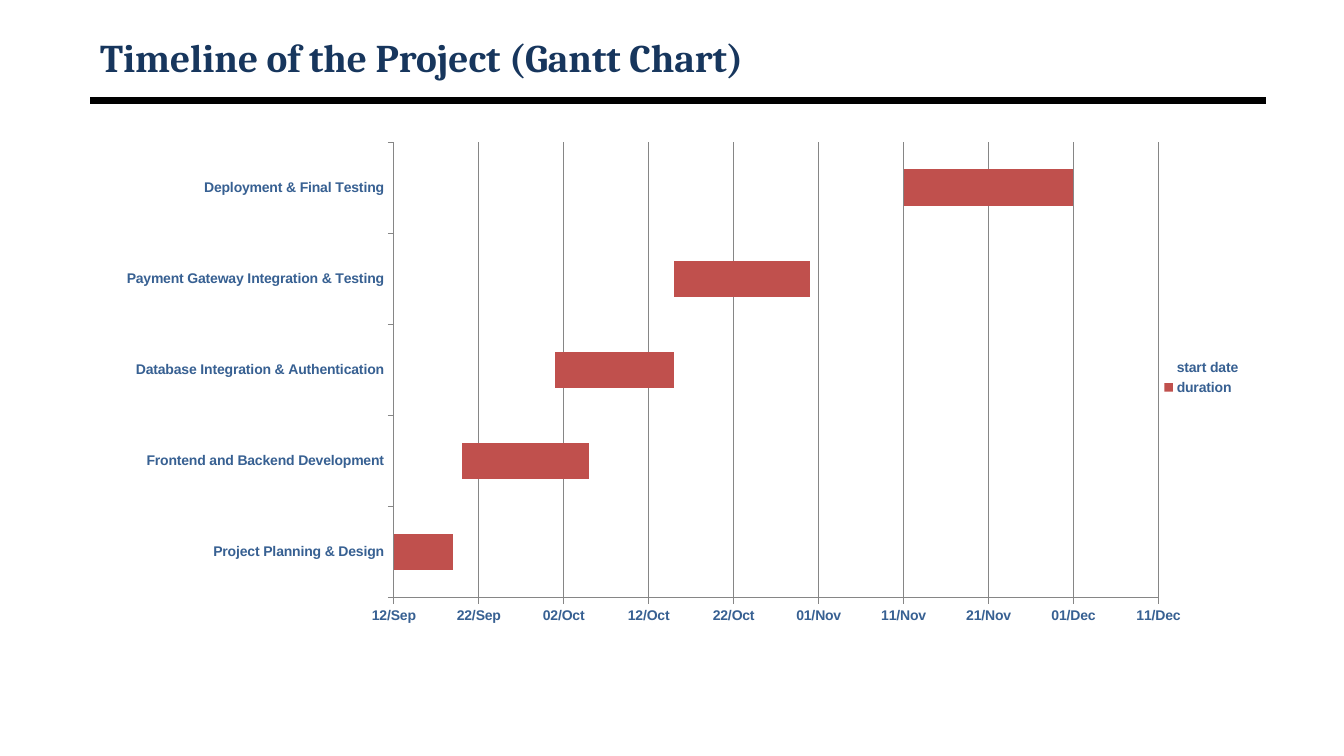
from dataclasses import dataclass
from lxml import etree
from pptx import Presentation
from pptx.chart.data import CategoryChartData
from pptx.dml.color import RGBColor
from pptx.enum.chart import XL_CHART_TYPE, XL_LEGEND_POSITION, XL_TICK_MARK
from pptx.enum.shapes import MSO_CONNECTOR
from pptx.enum.text import MSO_ANCHOR, PP_ALIGN
from pptx.oxml import parse_xml
from pptx.oxml.ns import nsdecls, qn
from pptx.util import Inches, Pt

STACKED = XL_CHART_TYPE.BAR_STACKED
RIGHT = XL_LEGEND_POSITION.RIGHT
OUT, NONE = XL_TICK_MARK.OUTSIDE, XL_TICK_MARK.NONE
STRAIGHT = MSO_CONNECTOR.STRAIGHT
MIDDLE, LEFT = MSO_ANCHOR.MIDDLE, PP_ALIGN.LEFT

WIDTH, HEIGHT = Inches(13.33), Inches(7.5)


@dataclass(frozen=True)
class Theme:
    title: RGBColor = RGBColor(0x17, 0x36, 0x5D)
    label: RGBColor = RGBColor(0x37, 0x60, 0x92)
    bar: RGBColor = RGBColor(0xC0, 0x50, 0x4D)
    grid: RGBColor = RGBColor(0x86, 0x86, 0x86)
    rule: RGBColor = RGBColor(0, 0, 0)
    head_font: str = "Cambria"
    font: str = "Arial"
    head_size: Pt = Pt(28)
    size: Pt = Pt(10)
    rule_width: Pt = Pt(4.5)
    grid_width: Pt = Pt(0.75)


THEME = Theme()

# Dates are serial day numbers; the first is 12 September 2024.
FIRST, STEP, STEPS = 45547, 10, 9
TASKS = [  # name, days after the first date, days of work
    ("Project Planning & Design", 0, 7),
    ("Frontend and Backend Development", 8, 15),
    ("Database Integration & Authentication", 19, 14),
    ("Payment Gateway Integration & Testing", 33, 16),
    ("Deployment & Final Testing", 60, 20),
]


def assign(target, values):
    for name, value in values.items():
        setattr(target, name, value)


def style(font, name, size, color):
    assign(font, {"name": name, "size": size, "bold": True})
    font.color.rgb = color


def scale(left, top, width, height):
    """Turn shares of the slide into lengths."""
    return (int(WIDTH * left), int(HEIGHT * top),
            int(WIDTH * width), int(HEIGHT * height))


def add_header(slide, box, text):
    """Set the title in the upper three quarters and a rule at the foot."""
    left, top, width, height = box
    title = slide.shapes.title
    assign(title, {"left": left, "top": top, "width": width,
                   "height": int(height * 0.76)})
    frame = title.text_frame
    assign(frame, {"text": text, "vertical_anchor": MIDDLE, "word_wrap": True})
    para = frame.paragraphs[0]
    para.alignment = LEFT
    style(para.runs[0].font, THEME.head_font, THEME.head_size, THEME.title)

    foot = top + height
    rule = slide.shapes.add_connector(STRAIGHT, left, foot, left + width, foot)
    rule.line.width = THEME.rule_width
    rule.line.color.rgb = THEME.rule
    etree.SubElement(rule._element.spPr, qn("a:effectLst"))


def place_plot(chart, x, y, w, h):
    """Fix the inner plot area, in shares of the chart."""
    area = chart._chartSpace.chart.plotArea
    for old in area.findall(qn("c:layout")):
        area.remove(old)
    parts = "".join(f'<c:{tag} val="{val}"/>' for tag, val in (
        ("layoutTarget", "inner"), ("xMode", "edge"), ("yMode", "edge"),
        ("x", x), ("y", y), ("w", w), ("h", h)))
    area.insert(0, parse_xml(
        f'<c:layout {nsdecls("c")}><c:manualLayout>{parts}'
        '</c:manualLayout></c:layout>'))


def add_gantt(slide, box):
    names, starts, days = zip(*TASKS)
    data = CategoryChartData()
    data.categories = names
    data.add_series("start date", [FIRST + start for start in starts])
    data.add_series("duration", days)
    chart = slide.shapes.add_chart(STACKED, *box, data).chart
    style(chart.font, THEME.font, THEME.size, THEME.label)
    assign(chart, {"has_title": False, "has_legend": True})
    assign(chart.legend, {"position": RIGHT, "include_in_layout": False})

    plot = chart.plots[0]
    assign(plot, {"gap_width": 150, "overlap": 100,
                  "vary_by_categories": False})
    start, work = plot.series
    start.format.fill.background()
    start.format.line.fill.background()
    work.format.fill.solid()
    work.format.fill.fore_color.rgb = THEME.bar

    dates, tasks = chart.value_axis, chart.category_axis
    assign(dates, {"minimum_scale": FIRST,
                   "maximum_scale": FIRST + STEP * STEPS,
                   "major_unit": STEP, "has_major_gridlines": True})
    assign(dates.tick_labels, {"number_format": "dd/mmm",
                               "number_format_is_linked": False})
    for axis in (dates, tasks):
        assign(axis, {"major_tick_mark": OUT, "minor_tick_mark": NONE})
    for part in (dates, tasks, dates.major_gridlines):
        part.format.line.width = THEME.grid_width
        part.format.line.color.rgb = THEME.grid
    place_plot(chart, 0.26, 0.04, 0.66, 0.89)


def main():
    deck = Presentation()
    assign(deck, {"slide_width": WIDTH, "slide_height": HEIGHT})
    slide = deck.slides.add_slide(deck.slide_layouts[5])
    add_header(slide, scale(0.067, 0.04, 0.875, 0.093),
               "Timeline of the Project (Gantt Chart)")
    add_gantt(slide, scale(0.069, 0.161, 0.862, 0.677))
    deck.save("out.pptx")


if __name__ == "__main__":
    main()
